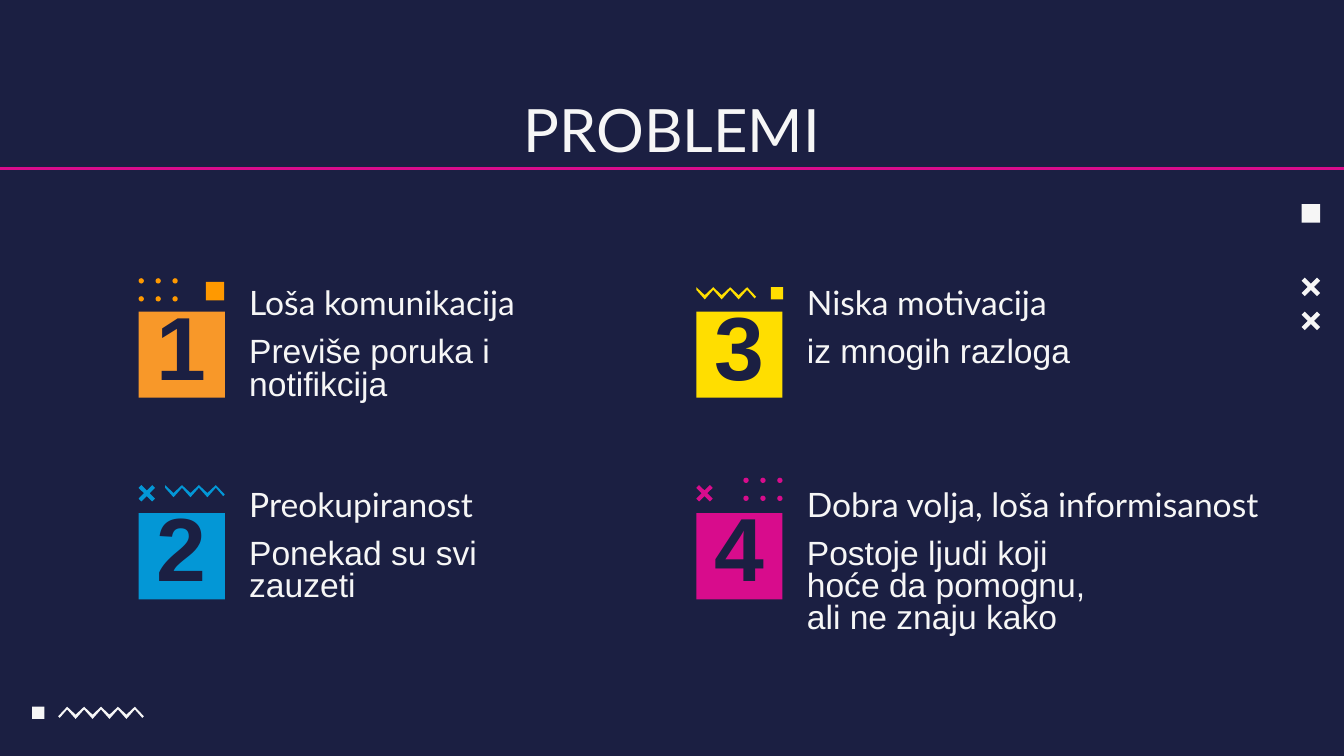
import pptx
import pptx.util
import pptx.dml.color
import pptx.enum.shapes
import pptx.enum.text
import pptx.oxml.ns
import lxml.etree

Cm = pptx.util.Cm
RGB = pptx.dml.color.RGBColor
SHAPE = pptx.enum.shapes.MSO_SHAPE
ALIGN = pptx.enum.text.PP_ALIGN
ANCHOR = pptx.enum.text.MSO_ANCHOR

NAVY = RGB(0x1B, 0x1F, 0x42)
WHITE = RGB(0xF6, 0xF6, 0xF6)
ORANGE = RGB(0xF8, 0x98, 0x29)
AMBER = RGB(0xFF, 0x99, 0x00)
BLUE = RGB(0x03, 0x97, 0xD6)
YELLOW = RGB(0xFF, 0xDE, 0x00)
PINK = RGB(0xD8, 0x0C, 0x8C)

TITLE = "PROBLEMI"
PROBLEMS = [
    ("Loša komunikacija", "Previše poruka i notifikcija", ORANGE, 6.43),
    ("Preokupiranost", "Ponekad su svi zauzeti", BLUE, 6.43),
    ("Niska motivacija", "iz mnogih razloga", YELLOW, 6.43),
    ("Dobra volja, loša informisanost",
     "Postoje ljudi koji hoće da pomognu, ali ne znaju kako", PINK, 11.99),
]
COLUMNS = [2.62, 13.16]
ROWS = [5.89, 9.7]
TILE = 1.63

SQUARES = [(24.6, 3.86, 0.35, WHITE), (0.61, 13.36, 0.23, WHITE),
           (14.57, 5.43, 0.23, YELLOW), (3.89, 5.33, 0.35, AMBER)]
CROSSES = [(24.6, 5.25, 0.35, WHITE), (24.6, 5.89, 0.35, WHITE),
           (13.16, 9.17, 0.31, PINK), (2.62, 9.17, 0.31, BLUE)]
DOT_GRIDS = [(2.62, 5.26, AMBER), (14.05, 9.03, PINK)]
ZIGZAGS = [(1.27, 13.36, 5, True, WHITE), (13.16, 5.43, 4, False, YELLOW),
           (3.12, 9.17, 4, False, BLUE)]
CROSS = [(0.17, 0), (0, 0.17), (0.33, 0.5), (0, 0.83), (0.17, 1), (0.5, 0.67),
         (0.83, 1), (1, 0.83), (0.67, 0.5), (1, 0.17), (0.83, 0), (0.5, 0.33)]

prs = pptx.Presentation()
prs.slide_width, prs.slide_height = Cm(25.4), Cm(14.29)
s = prs.slides.add_slide(prs.slide_layouts[6])
s.background.fill.solid()
s.background.fill.fore_color.rgb = NAVY


def paint(sp, color):
    sp.shadow.inherit = False
    sp.fill.solid()
    sp.fill.fore_color.rgb = color
    sp.line.fill.background()
    return sp


def add_preset(kind, x, y, size, color):
    return paint(s.shapes.add_shape(kind, Cm(x), Cm(y), Cm(size), Cm(size)), color)


def add_outline(points, color):
    pts = [(Cm(x), Cm(y)) for x, y in points]
    fb = s.shapes.build_freeform(*pts[0])
    fb.add_line_segments(pts[1:], close=True)
    paint(fb.convert_to_shape(), color)


def add_zigzag(x, y, peaks, whole, color):
    step = 0.16
    n = 2 * peaks - 1
    upper = [(x + i * step, y + i % 2 * 0.15) for i in range(n)]
    lower = [(x + i * step, y + 0.05 + i % 2 * 0.18) for i in range(n)]
    end = x + (n - 1) * step
    right = [(end + 0.17, y + 0.18), (end + 0.14, y + 0.21)]
    left = [(x - 0.14, y + 0.21), (x - 0.17, y + 0.18)] if whole else []
    add_outline(upper + right + lower[::-1] + left, color)


def write(sp, text, size, font, color, align=ALIGN.LEFT, anchor=ANCHOR.TOP,
          spacing=0.8, bold=False):
    tf = sp.text_frame
    tf.word_wrap = True
    tf.vertical_anchor = anchor
    tf.margin_left = tf.margin_right = tf.margin_top = tf.margin_bottom = Cm(0.25)
    p = tf.paragraphs[0]
    p.alignment, p.line_spacing = align, spacing
    r = p.add_run()
    r.text = text
    r.font.size, r.font.name, r.font.bold = pptx.util.Pt(size), font, bold
    r.font.color.rgb = color


def add_text(x, y, w, h, *args, **kwargs):
    write(s.shapes.add_textbox(Cm(x), Cm(y), Cm(w), Cm(h)), *args, **kwargs)


rule = s.shapes.add_connector(pptx.enum.shapes.MSO_CONNECTOR.STRAIGHT,
                              Cm(0), Cm(3.18), prs.slide_width, Cm(3.18))
rule.line.color.rgb = PINK
rule.line.width = pptx.util.Pt(1.5)
lxml.etree.SubElement(rule._element.spPr, pptx.oxml.ns.qn("a:effectLst"))

add_text(1.98, 1.5, 21.44, 1.88, TITLE, 32, "Lato", WHITE,
         align=ALIGN.CENTER, spacing=1.0)

for i, (heading, detail, color, width) in enumerate(PROBLEMS):
    x, y = COLUMNS[i // 2], ROWS[i % 2]
    tile = add_preset(SHAPE.RECTANGLE, x, y, TILE, color)
    write(tile, str(i + 1), 48, "Arial", NAVY, align=ALIGN.CENTER,
          anchor=ANCHOR.MIDDLE, bold=True)
    add_text(x + 1.84, y - 0.66, width, 1.04, heading, 18, "Lato", WHITE)
    add_text(x + 1.84, y + 0.25, 6.43, 2.03, detail, 18, "Arial", WHITE)

for square in SQUARES:
    add_preset(SHAPE.RECTANGLE, *square)
for x, y, size, color in CROSSES:
    add_outline([(x + u * size, y + v * size) for u, v in CROSS], color)
for x, y, color in DOT_GRIDS:
    for col in range(3):
        for row in range(2):
            add_preset(SHAPE.OVAL, x + col * 0.32, y + row * 0.34, 0.1, color)
for zigzag in ZIGZAGS:
    add_zigzag(*zigzag)

prs.save("out.pptx")
